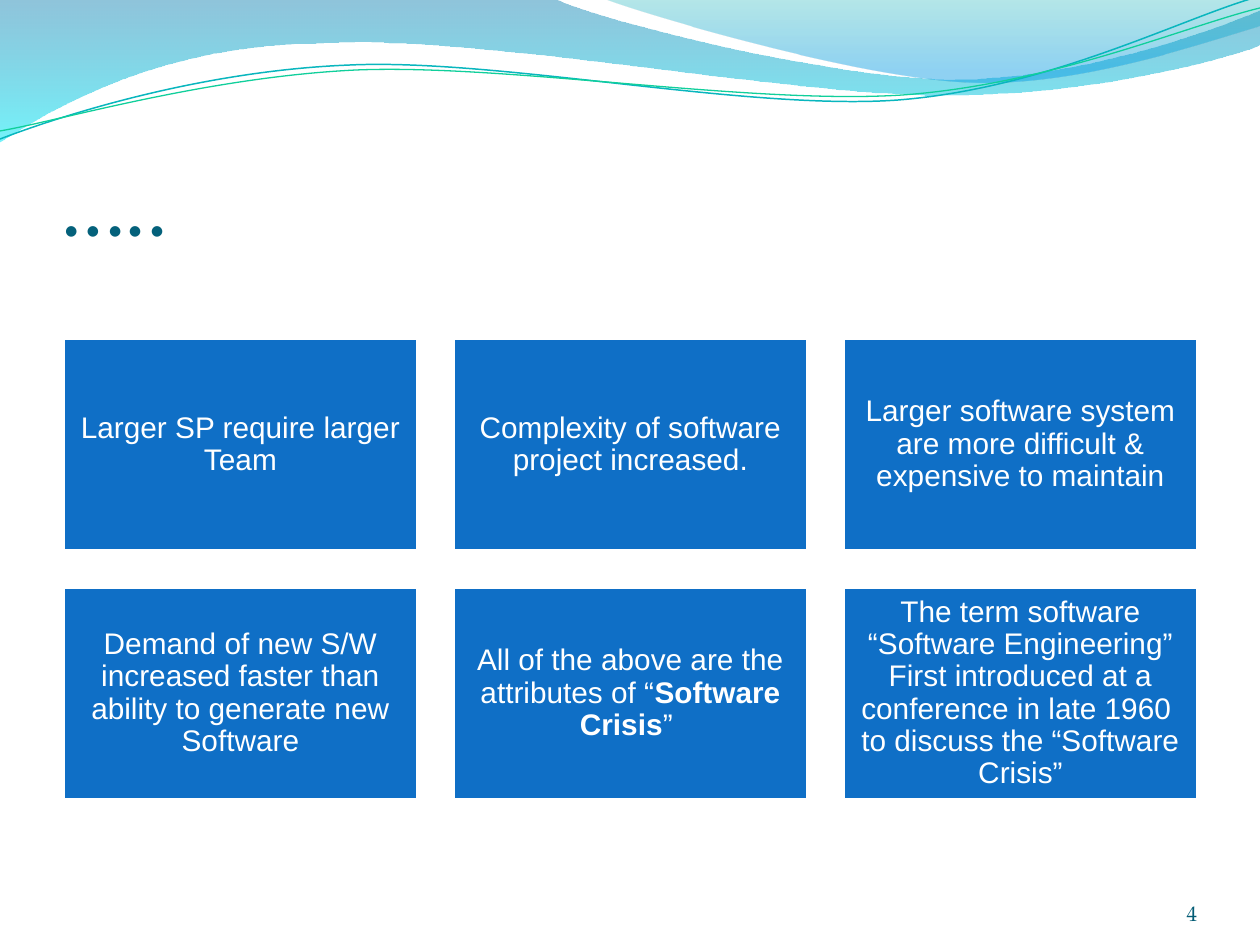
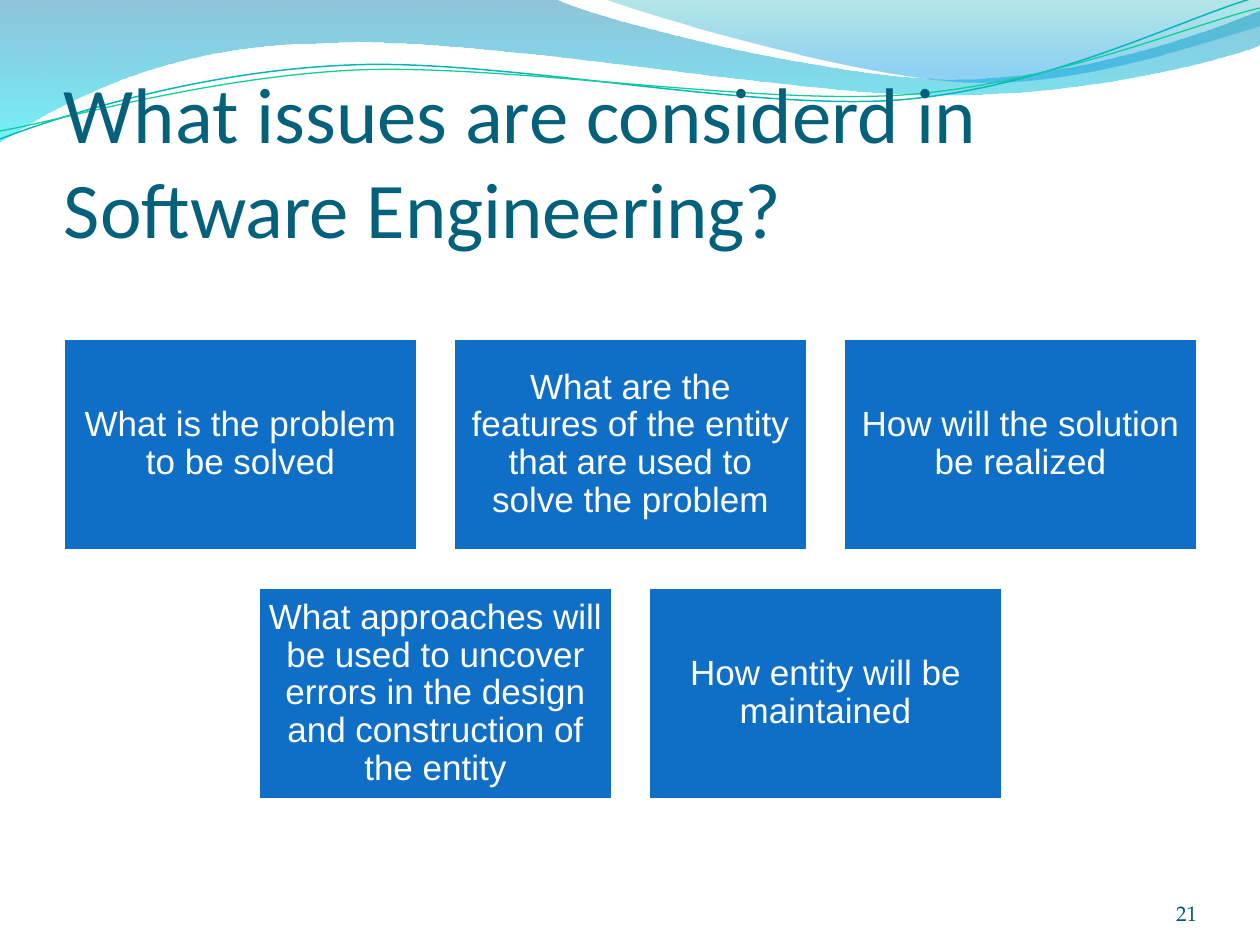
"""Build two slides with a wave header, a title and a grid of cards."""
from lxml import etree
from pptx import Presentation
from pptx.dml.color import RGBColor
from pptx.enum.shapes import MSO_SHAPE
from pptx.enum.text import MSO_ANCHOR, PP_ALIGN
from pptx.oxml import parse_xml
from pptx.oxml.ns import nsdecls, qn
from pptx.util import Pt

RECTANGLE = MSO_SHAPE.RECTANGLE
MIDDLE, BOTTOM = MSO_ANCHOR.MIDDLE, MSO_ANCHOR.BOTTOM
LEFT, CENTER, RIGHT = PP_ALIGN.LEFT, PP_ALIGN.CENTER, PP_ALIGN.RIGHT

EMU_PER_PX = 914400 / 126
PAGE_SIZE = (1260, 945)
TITLE_BOX = (64, 96, 1134, 158)
NUMBER_BOX = (1092, 876, 105, 50)
GRID_BOX = (63, 338, 1135, 462)
CARD_SIZE = (355, 213)
CARD_GAP = 35
CARDS_PER_ROW = 3

COLORS = {
    "title": "04617B",
    "number": "035C75",
    "card": "0F6FC6",
    "white": "FFFFFF",
    "teal": "09B6BE",
    "green": "10CF9B",
    "ribbon_top": "0079AD",
    "ribbon_bottom": "00E9F7",
    "sweep_top": "00ABB4",
    "sweep_bottom": "0099E4",
}
FONTS = {"title": "Calibri", "number": "TeX Gyre Pagella", "card": "Arial"}

RIBBON = [
    (0, -1), (555, -1),
    (600, 21, 837, 79, 955, 79), (1075, 79, 1207, 33, 1260, 11),
    (1261, 45),
    (1239, 55, 1096, 96, 940, 95), (784, 95, 481, 35, 324, 43),
    (163, 44, 58, 105, -1, 142),
]
RIBBON_STOPS = [(0, "ribbon_top", 44), (100, "ribbon_bottom", 55)]
SWEEP = [
    (604, -1),
    (641, 14, 859, 78, 969, 82), (1079, 87, 1211, 40, 1260, 26),
    (1260, 0),
]
SWEEP_STOPS = [(0, "sweep_top", 29), (80, "sweep_bottom", 44),
               (100, "sweep_bottom", 44)]
TEAL_LINE = [
    (0, 139),
    (60, 116, 199, 71, 349, 65), (498, 58, 747, 111, 898, 100),
    (1050, 88, 1182, 18, 1257, -3),
]
GREEN_LINE = [
    (0, 131),
    (59, 121, 207, 77, 357, 70), (508, 64, 752, 105, 903, 95),
    (1053, 84, 1186, 26, 1260, 8),
]

SLIDES = [
    {
        "title": "…..", "title_size": 50, "number": "4",
        "card_size": 17, "inset": 9,
        "cards": [
            "Larger SP require larger Team",
            "Complexity of software project increased.",
            "Larger software system are more difficult & expensive to maintain",
            "Demand of new S/W increased faster than ability to generate new "
            "Software",
            [("All of the above are the attributes of “", False),
             ("Software Crisis", True), ("” ", False)],
            "The term software “Software Engineering” First introduced at a "
            "conference in late 1960  to discuss the “Software Crisis”",
        ],
    },
    {
        "title": "What issues are considerd in Software Engineering?",
        "title_size": 45, "number": "21",
        "card_size": 20, "inset": 10,
        "cards": [
            "What is the problem to be solved",
            "What are the features of the entity that are used to solve the "
            "problem",
            "How will the solution be realized",
            "What approaches will be used to uncover errors in the design and "
            "construction of the entity",
            "How entity will be maintained",
        ],
    },
]


def px(value):
    """Turn pixels into whole EMU."""
    return round(value * EMU_PER_PX)


def rgb(name):
    """Return the named colour."""
    return RGBColor.from_string(COLORS[name])


def write_text(shape, text, *, font, size, color, align=LEFT, anchor=MIDDLE,
               insets=(0, 0, 0, 0), spacing=1.0):
    """Write a string, or a list of (text, bold) spans, as one paragraph."""
    frame = shape.text_frame
    frame.word_wrap = True
    frame.vertical_anchor = anchor
    (frame.margin_left, frame.margin_top,
     frame.margin_right, frame.margin_bottom) = map(px, insets)
    para = frame.paragraphs[0]
    para.alignment = align
    para.line_spacing = spacing
    for words, bold in [(text, False)] if isinstance(text, str) else text:
        span = para.add_run()
        span.text = words
        span.font.name = font
        span.font.size = Pt(size)
        span.font.bold = bold
        span.font.color.rgb = rgb(color)


def add_text(page, box, text, **style):
    """Add a text box."""
    write_text(page.shapes.add_textbox(*map(px, box)), text, **style)


def bend(shape, outline):
    """Merge each curve's three straight steps into one cubic curve."""
    steps = iter(list(shape.element.iter(qn("a:lnTo"))))
    for step in outline[1:]:
        first = next(steps)
        if len(step) == 6:
            curve = etree.Element(qn("a:cubicBezTo"))
            first.addprevious(curve)
            for corner in (first, next(steps), next(steps)):
                curve.append(corner[0])
                corner.getparent().remove(corner)


def add_outline(page, outline, close):
    """Add an unfilled freeform of corners and cubic curves."""
    start, *rest = [(px(step[i]), px(step[i + 1]))
                    for step in outline for i in range(0, len(step), 2)]
    builder = page.shapes.build_freeform(*start)
    builder.add_line_segments(rest, close=close)
    shape = builder.convert_to_shape()
    bend(shape, outline)
    shape.shadow.inherit = False
    shape.fill.background()
    return shape


def add_wave(page, outline, stops):
    """Add a closed wave with a vertical, transparent gradient."""
    shape = add_outline(page, outline, close=True)
    shape.line.fill.background()
    stop_xml = "".join(
        f'<a:gs pos="{place * 1000}"><a:srgbClr val="{COLORS[color]}">'
        f'<a:alpha val="{opacity * 1000}"/></a:srgbClr></a:gs>'
        for place, color, opacity in stops)
    gradient = parse_xml(
        f'<a:gradFill {nsdecls("a")} rotWithShape="1"><a:gsLst>{stop_xml}'
        '</a:gsLst><a:lin ang="5400000" scaled="0"/></a:gradFill>')
    properties = shape.element.spPr
    properties.replace(properties.find(qn("a:noFill")), gradient)


def add_header(page):
    """Draw the waves and thin lines at the top."""
    add_wave(page, RIBBON, RIBBON_STOPS)
    add_wave(page, SWEEP, SWEEP_STOPS)
    for outline, color, width in ((TEAL_LINE, "teal", 0.85),
                                  (GREEN_LINE, "green", 0.75)):
        line = add_outline(page, outline, close=False).line
        line.color.rgb = rgb(color)
        line.width = Pt(width)


def add_card(page, box, text, size, inset):
    """Add one blue card with centred text."""
    card = page.shapes.add_shape(RECTANGLE, *map(px, box))
    card.shadow.inherit = False
    card.fill.solid()
    card.fill.fore_color.rgb = rgb("card")
    card.line.color.rgb = rgb("white")
    card.line.width = Pt(2)
    write_text(card, text, font=FONTS["card"], size=size, color="white",
               align=CENTER, insets=(inset,) * 4, spacing=0.9)


def add_card_grid(page, box, cards, size, inset):
    """Lay cards out in rows, each centred in the box."""
    left, top, width, height = box
    card_width, card_height = CARD_SIZE
    for start in range(0, len(cards), CARDS_PER_ROW):
        row = cards[start:start + CARDS_PER_ROW]
        row_width = len(row) * (card_width + CARD_GAP) - CARD_GAP
        row_left = left + (width - row_width) // 2
        row_top = top if start == 0 else top + height - card_height
        for column, text in enumerate(row):
            card_left = row_left + column * (card_width + CARD_GAP)
            add_card(page, (card_left, row_top, *CARD_SIZE), text, size, inset)


def add_card_slide(deck, content):
    """Add a slide with header, title, number and cards."""
    page = deck.slides.add_slide(deck.slide_layouts[6])
    add_header(page)
    add_text(page, TITLE_BOX, content["title"], font=FONTS["title"],
             size=content["title_size"], color="title", anchor=BOTTOM,
             insets=(0, 6, 0, 0))
    add_text(page, NUMBER_BOX, content["number"], font=FONTS["number"],
             size=12, color="number", align=RIGHT, anchor=BOTTOM)
    add_card_grid(page, GRID_BOX, content["cards"], content["card_size"],
                  content["inset"])


def main():
    """Build and save the deck."""
    deck = Presentation()
    deck.slide_width, deck.slide_height = map(px, PAGE_SIZE)
    for content in SLIDES:
        add_card_slide(deck, content)
    deck.save("out.pptx")


if __name__ == "__main__":
    main()
